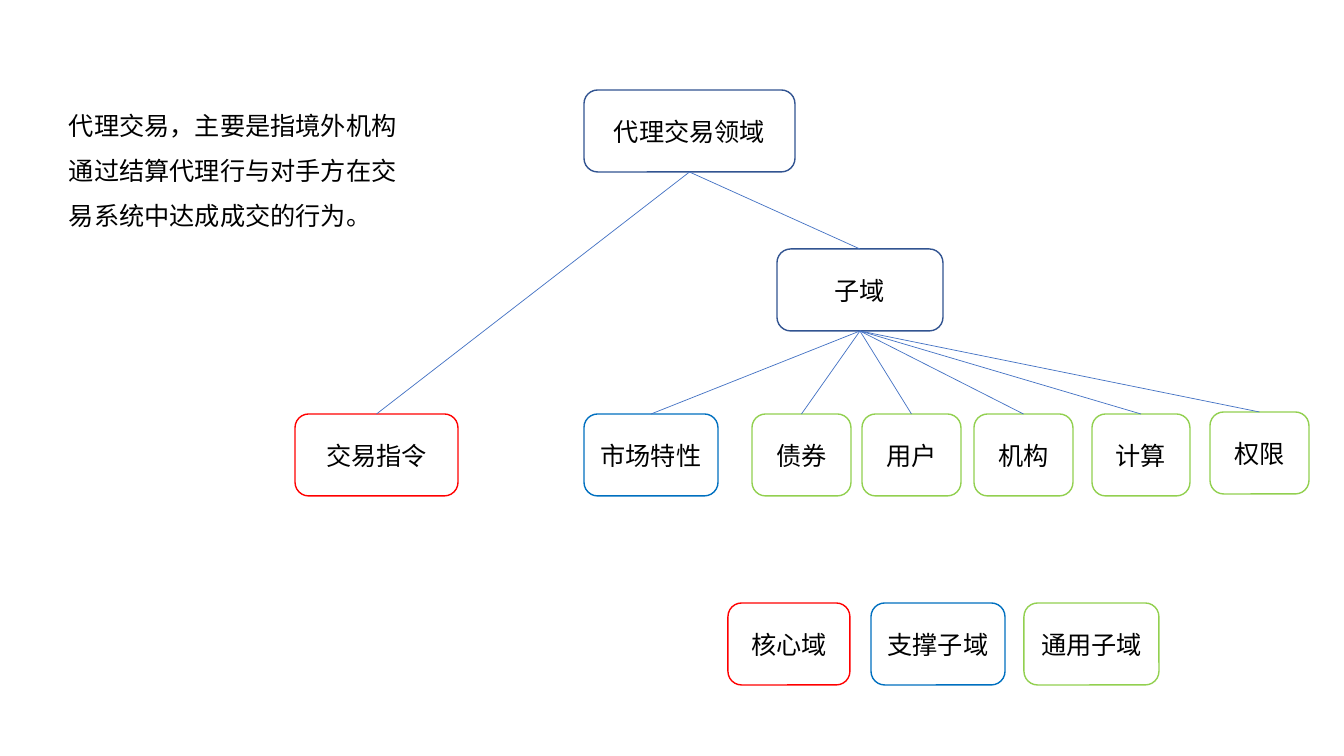
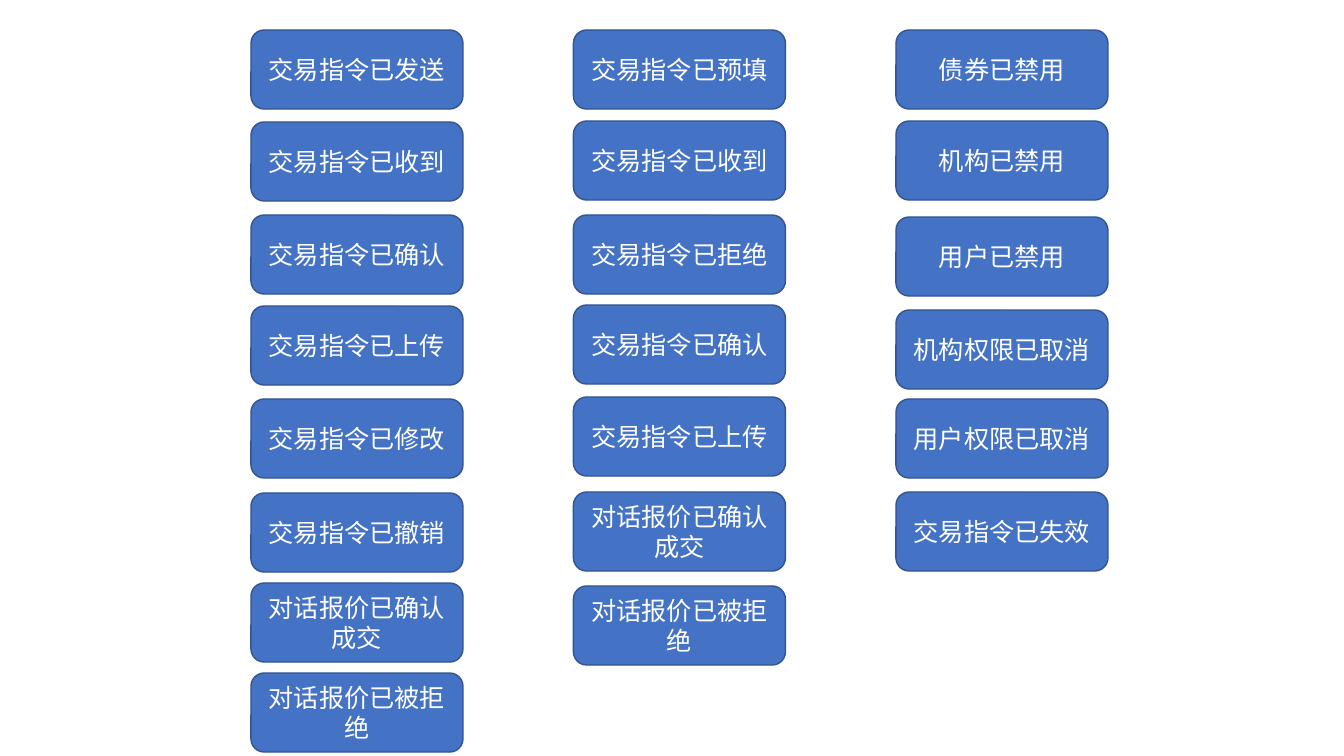
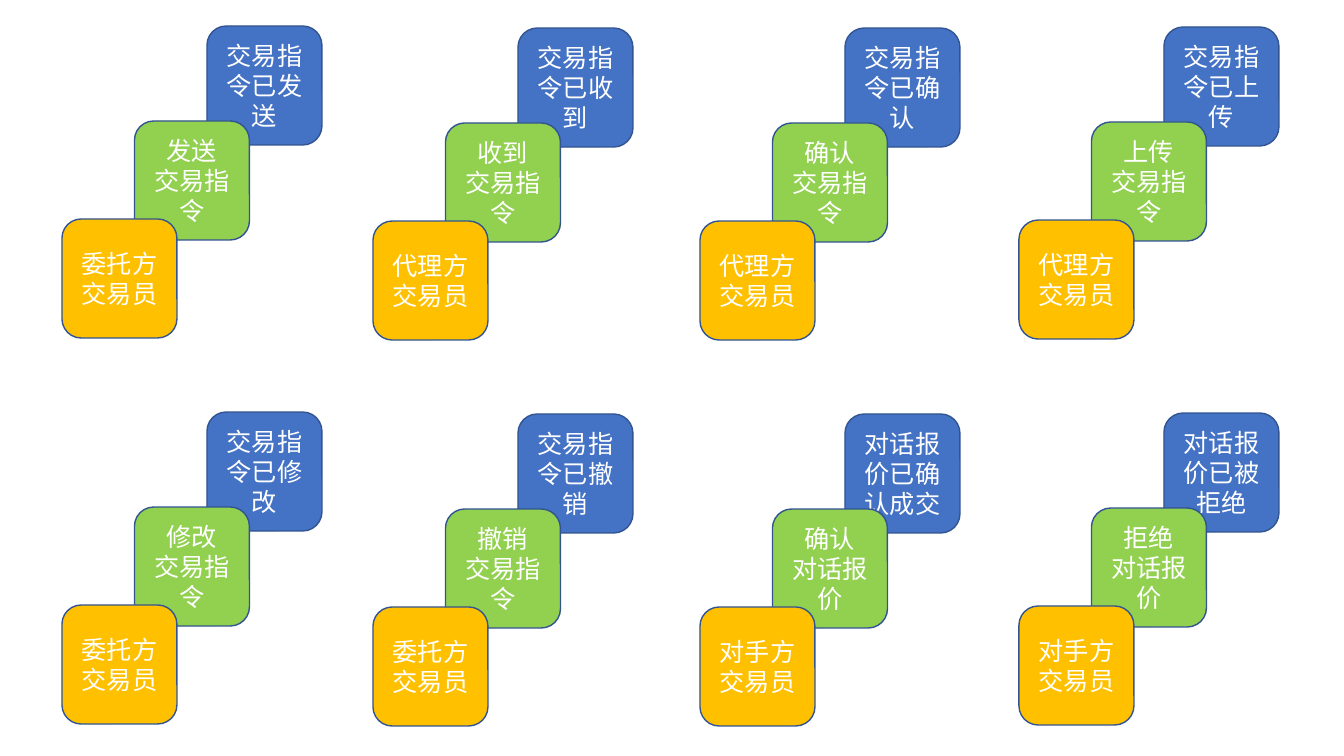
from lxml import etree
from pptx import Presentation
from pptx import util as u
from pptx.dml.color import RGBColor
from pptx.enum import shapes, text
from pptx.oxml.ns import qn

PX = 914400 / 100.8
FONT = "Noto Sans CJK SC"
BLACK = RGBColor(0x00, 0x00, 0x00)
WHITE = RGBColor(0xFF, 0xFF, 0xFF)
BLUE = RGBColor(0x44, 0x72, 0xC4)
NAVY = RGBColor(0x32, 0x54, 0x91)
RED = RGBColor(0xFF, 0x00, 0x00)
SKY = RGBColor(0x00, 0x70, 0xC0)
GREEN = RGBColor(0x92, 0xD0, 0x50)
AMBER = RGBColor(0xFF, 0xC0, 0x00)


def px(*lengths):
    return [u.Emu(round(n * PX)) for n in lengths]


# Shared parts
def write(tf, content, color, align=None, spacing=None):
    tf.word_wrap = True
    tf.text = content
    for p in tf.paragraphs:
        p.alignment = align
        p.line_spacing = spacing
        p.font.name = FONT
        p.font.size = u.Pt(18)
        p.font.color.rgb = color
        # Chinese glyphs take the East Asian typeface
        props = p._p.pPr.find(qn("a:defRPr"))
        etree.SubElement(props, qn("a:ea"), typeface=FONT)


def add_box(s, box, label, fill=None, line=NAVY):
    sp = s.shapes.add_shape(shapes.MSO_SHAPE.ROUNDED_RECTANGLE, *px(*box))
    sp.shadow.inherit = False
    if fill is None:
        sp.fill.background()
    else:
        sp.fill.solid()
        sp.fill.fore_color.rgb = fill
    sp.line.color.rgb = line
    sp.line.width = u.Pt(1)
    sp.text_frame.vertical_anchor = text.MSO_ANCHOR.MIDDLE
    write(sp.text_frame, label, BLACK if fill is None else WHITE,
          text.PP_ALIGN.CENTER)
    return sp


def add_branch(s, parent, child):
    """Line from the bottom of the parent to the top of the child."""
    line = s.shapes.add_connector(shapes.MSO_CONNECTOR.STRAIGHT, 0, 0, 0, 0)
    line.begin_connect(parent, 2)
    line.end_connect(child, 0)
    line.line.color.rgb = BLUE
    line.line.width = u.Pt(0.5)
    etree.SubElement(line._element.spPr, qn("a:effectLst"))


# Slide 1: domain tree with legend
BOX_H = 82
SUBDOMAINS = [  # left, top, width, label, outline
    (584, 414, 134, "市场特性", SKY),
    (752, 414, 99, "债券", GREEN),
    (862, 414, 99, "用户", GREEN),
    (974, 414, 99, "机构", GREEN),
    (1092, 414, 98, "计算", GREEN),
    (1210, 412, 99, "权限", GREEN),
]
LEGEND = [  # left, width, label, outline
    (728, 122, "核心域", RED),
    (871, 134, "支撑子域", SKY),
    (1024, 135, "通用子域", GREEN),
]
DEFINITION = ("代理交易\uff0c主要是指境外机构通过结算代理行与对手方"
              "在交易系统中达成成交的行为。")


def domain_tree(s):
    domain = add_box(s, (584, 90, 211, BOX_H), "代理交易领域")
    core = add_box(s, (295, 414, 163, BOX_H), "交易指令", line=RED)
    sub = add_box(s, (777, 249, 166, BOX_H), "子域")
    add_branch(s, domain, core)
    add_branch(s, domain, sub)
    for left, top, width, label, color in SUBDOMAINS:
        leaf = add_box(s, (left, top, width, BOX_H), label, line=color)
        add_branch(s, sub, leaf)


def legend(s, top):
    for left, width, label, color in LEGEND:
        add_box(s, (left, top, width, BOX_H), label, line=color)


def definition(s, box):
    tf = s.shapes.add_textbox(*px(*box)).text_frame
    write(tf, DEFINITION, BLACK, spacing=1.5)
    tf.auto_size = text.MSO_AUTO_SIZE.SHAPE_TO_FIT_TEXT


# Slide 2: three columns of events
EVENT_LEFT, EVENT_PITCH, EVENT_W, EVENT_H = 251, 322.5, 212, 79
EVENTS = [  # top, label
    [(30, "交易指令已发送"), (122, "交易指令已收到"), (215, "交易指令已确认"),
     (306, "交易指令已上传"), (399, "交易指令已修改"), (493, "交易指令已撤销"),
     (583, "对话报价已确认成交"), (673, "对话报价已被拒绝")],
    [(30, "交易指令已预填"), (121, "交易指令已收到"), (215, "交易指令已拒绝"),
     (305, "交易指令已确认"), (397, "交易指令已上传"), (492, "对话报价已确认成交"),
     (586, "对话报价已被拒绝")],
    [(30, "债券已禁用"), (121, "机构已禁用"), (217, "用户已禁用"),
     (310, "机构权限已取消"), (399, "用户权限已取消"), (492, "交易指令已失效")],
]


def event_column(s, left, events):
    for top, label in events:
        add_box(s, (left, top, EVENT_W, EVENT_H), label, BLUE)


# Slide 3: role, command and event stacks
STACK_CORNERS = [(62, 26), (373, 28), (700, 28), (1019, 27)]
STACK_ROW_PITCH = 386
CARD_W, CARD_H = 115, 119
CARD_STEPS = [(145, 0, BLUE), (72.5, 95, GREEN), (0, 193, AMBER)]
STACKS = [  # event, command, role
    [("交易指令已发送", "发送\n交易指令", "委托方交易员"),
     ("交易指令已收到", "收到\n交易指令", "代理方交易员"),
     ("交易指令已确认", "确认\n交易指令", "代理方交易员"),
     ("交易指令已上传", "上传\n交易指令", "代理方交易员")],
    [("交易指令已修改", "修改\n交易指令", "委托方交易员"),
     ("交易指令已撤销", "撤销\n交易指令", "委托方交易员"),
     ("对话报价已确认成交", "确认\n对话报价", "对手方\n交易员"),
     ("对话报价已被拒绝", "拒绝\n对话报价", "对手方交易员")],
]


def card_stack(s, left, top, labels):
    for (dx, dy, color), label in zip(CARD_STEPS, labels):
        add_box(s, (left + dx, top + dy, CARD_W, CARD_H), label, color)


prs = Presentation()
prs.slide_width, prs.slide_height = px(1344, 756)
blank = prs.slide_layouts[6]

s = prs.slides.add_slide(blank)
domain_tree(s)
legend(s, 603)
definition(s, (59, 90, 352, 147))

s = prs.slides.add_slide(blank)
for i, events in enumerate(EVENTS):
    event_column(s, EVENT_LEFT + i * EVENT_PITCH, events)

s = prs.slides.add_slide(blank)
for row, stacks in enumerate(STACKS):
    for (left, top), labels in zip(STACK_CORNERS, stacks):
        card_stack(s, left, top + row * STACK_ROW_PITCH, labels)

prs.save("out.pptx")
